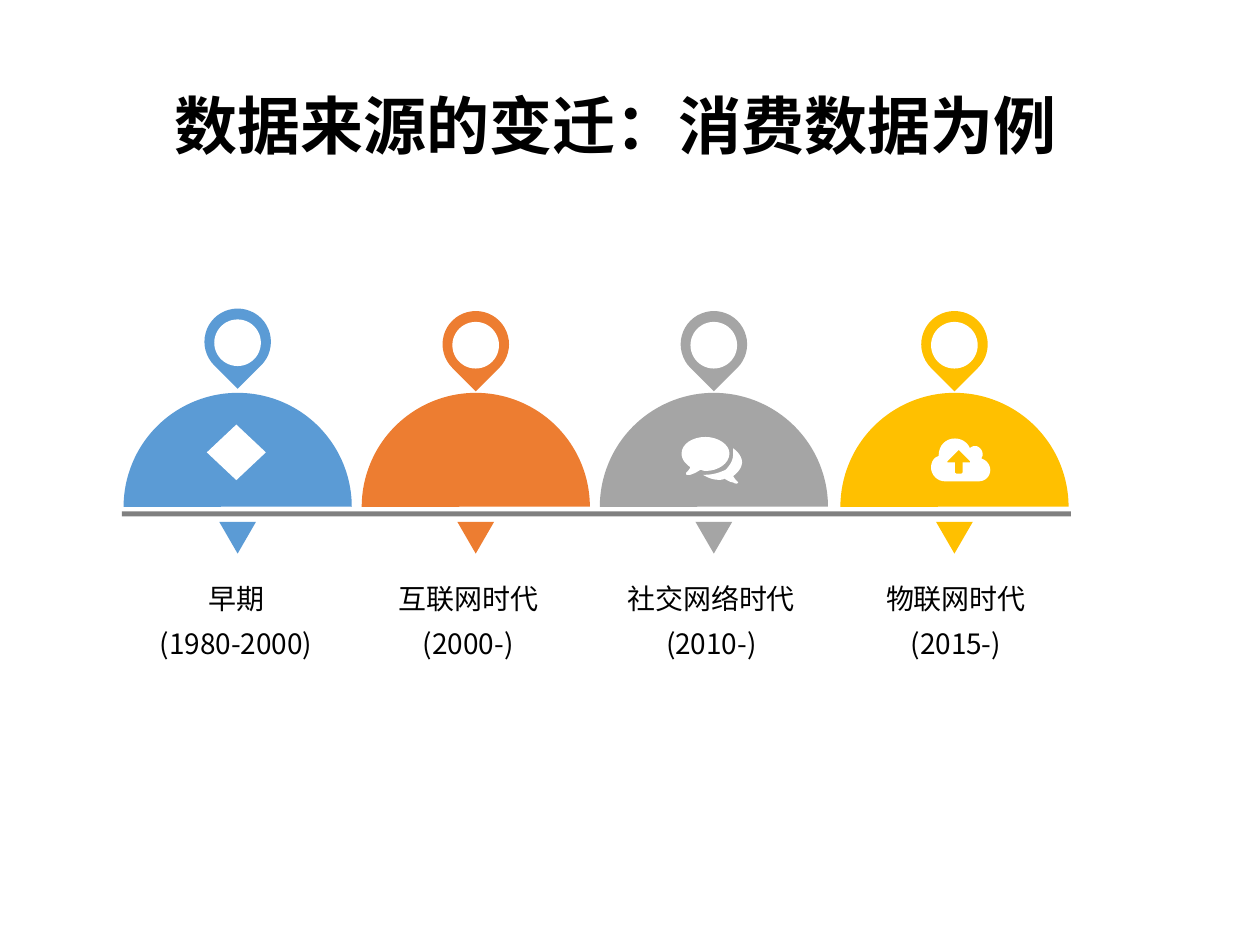
from pptx import Presentation
from pptx.dml.color import RGBColor
from pptx.enum.shapes import MSO_SHAPE
from pptx.enum.text import MSO_ANCHOR, PP_ALIGN
from pptx.oxml.ns import qn
from pptx.util import Cm, Pt

CHORD = MSO_SHAPE.CHORD
DIAMOND = MSO_SHAPE.DIAMOND
OVAL = MSO_SHAPE.OVAL
RECTANGLE = MSO_SHAPE.RECTANGLE
TEAR = MSO_SHAPE.TEAR
TRIANGLE = MSO_SHAPE.ISOSCELES_TRIANGLE
CENTER = PP_ALIGN.CENTER
TOP = MSO_ANCHOR.TOP
MIDDLE = MSO_ANCHOR.MIDDLE

WHITE = "FFFFFF"
ICON_UNIT = 0.0254  # cm per icon grid unit
CURVE_STEPS = 8
DOME_ADJUSTMENTS = (40.58, 148.46)  # chord ends, half a turn apart

# Dome centre, pin top and label centre are in cm
STAGES = [
    (4.79, 6.22, 4.76, "5B9BD5", "早期", "(1980-2000)"),
    (9.59, 6.27, 9.44, "ED7D31", "互联网时代", "(2000-)"),
    (14.39, 6.27, 14.34, "A5A5A5", "社交网络时代", "(2010-)"),
    (19.24, 6.27, 19.27, "FFC000", "物联网时代", "(2015-)"),
]

# Each outline is a list of points (x, y) and cubic curves (two controls, end)
CLOUD_UPLOAD = [
    [(38, 34), (11, 34), (5, 34, 0, 29, 0, 23), (0, 19, 2, 15, 6, 14),
     (6, 5, 12, 0, 19, 0), (24, 0, 29, 3, 31, 8), (31, 7, 33, 6, 35, 6),
     (38, 6, 41, 9, 41, 13), (41, 14, 40, 15, 40, 16),
     (44, 17, 47, 21, 47, 25), (47, 30, 43, 34, 38, 34)],
    [(31, 18), (22, 9), (13, 18), (13, 19), (19, 19), (19, 27), (20, 28),
     (24, 28), (25, 27), (25, 19), (31, 19)],
]
SPEECH_BUBBLES = [
    [(19, 27), (17, 27, 16, 26, 15, 26), (12, 28, 10, 29, 7, 30), (4, 30),
     (3, 29, 4, 28, 4, 28), (5, 27, 6, 26, 7, 24), (3, 21, 0, 18, 0, 13),
     (0, 6, 8, 0, 19, 0), (29, 0, 38, 6, 38, 13), (38, 21, 29, 27, 19, 27)],
    [(41, 31), (42, 33, 43, 34, 44, 35), (45, 36), (44, 37),
     (43, 37, 42, 37, 41, 36), (39, 36, 37, 35, 34, 33),
     (33, 34, 31, 34, 29, 34), (25, 34, 20, 32, 17, 30), (19, 30),
     (25, 30, 31, 28, 35, 26), (39, 22, 41, 18, 41, 13),
     (41, 12, 41, 10, 41, 9), (45, 12, 48, 16, 48, 20),
     (48, 24, 45, 28, 41, 31)],
]


def color(hex_value):
    return RGBColor.from_string(hex_value)


def flatten(outline):
    """Turn an outline with cubic curves into a list of points."""
    points = [outline[0]]
    for segment in outline[1:]:
        if len(segment) == 2:
            points.append(segment)
            continue
        start = points[-1]
        for step in range(1, CURVE_STEPS + 1):
            t = step / CURVE_STEPS
            u = 1 - t
            points.append(tuple(
                u**3 * start[axis] + 3 * u * u * t * segment[axis]
                + 3 * u * t * t * segment[axis + 2] + t**3 * segment[axis + 4]
                for axis in (0, 1)))
    return points


class TimelineSlide:
    """Holds the text style and the slide being built."""

    text_color = "000000"
    asian_font = "Noto Sans CJK SC"

    def __init__(self, slide):
        self.slide = slide

    def paint(self, shape, fill):
        shape.shadow.inherit = False
        shape.fill.solid()
        shape.fill.fore_color.rgb = color(fill)
        shape.line.fill.background()

    def shape(self, kind, left, top, width, height, fill, rotation=0):
        shape = self.slide.shapes.add_shape(
            kind, Cm(left), Cm(top), Cm(width), Cm(height))
        shape.rotation = rotation
        self.paint(shape, fill)
        return shape

    def icon(self, left, top, outlines):
        contours = [
            [(Cm(left + x * ICON_UNIT), Cm(top + y * ICON_UNIT))
             for x, y in flatten(outline)]
            for outline in outlines]
        builder = self.slide.shapes.build_freeform(*contours[0][0])
        builder.add_line_segments(contours[0][1:])
        for contour in contours[1:]:
            builder.move_to(*contour[0])
            builder.add_line_segments(contour[1:])
        self.paint(builder.convert_to_shape(), WHITE)

    def text(self, left, top, width, height, lines, size, font,
             bold=False, anchor=TOP, line_spacing=1.0, gap=0):
        box = self.slide.shapes.add_textbox(
            Cm(left), Cm(top), Cm(width), Cm(height))
        frame = box.text_frame
        frame.word_wrap = True
        frame.vertical_anchor = anchor
        frame.margin_left = frame.margin_right = 0
        frame.margin_top = frame.margin_bottom = 0
        frame.text = "\n".join(lines)
        for index, paragraph in enumerate(frame.paragraphs):
            paragraph.alignment = CENTER
            paragraph.line_spacing = line_spacing
            if index:
                paragraph.space_before = Pt(gap)
            for run in paragraph.runs:
                run.font.size = Pt(size)
                run.font.bold = bold
                run.font.name = font
                run.font.color.rgb = color(self.text_color)
                properties = run.font._element
                asian = properties.makeelement(
                    qn("a:ea"), {"typeface": self.asian_font})
                properties.find(qn("a:latin")).addnext(asian)

    def pin(self, center, top, fill):
        self.shape(TEAR, center - 0.67, top, 1.34, 1.34, fill, 135)
        self.shape(OVAL, center - 0.47, top + 0.22, 0.94, 0.94, WHITE)

    def stage(self, center, pin_top, label_center, fill, name, years):
        dome = self.shape(CHORD, center - 2.3, 7.92, 4.6, 4.6, fill, 112.4)
        for index, adjustment in enumerate(DOME_ADJUSTMENTS):
            dome.adjustments[index] = adjustment
        self.shape(TRIANGLE, center - 0.37, 10.52, 0.74, 0.64, fill, 180)
        self.pin(center, pin_top, fill)
        self.text(label_center - 2.07, 11.58, 4.14, 1.78, [name, years], 16,
                  self.asian_font, line_spacing=1.2, gap=3.2)


def main():
    presentation = Presentation()
    presentation.slide_width = Cm(25.4)
    presentation.slide_height = Cm(19.05)
    timeline = TimelineSlide(
        presentation.slides.add_slide(presentation.slide_layouts[6]))

    timeline.text(1.57, 1.73, 21.69, 1.55, ["数据来源的变迁：消费数据为例"], 36,
                  "Arial", bold=True, anchor=MIDDLE)
    timeline.shape(RECTANGLE, 2.46, 10.31, 19.13, 0.1, "808080")
    for stage in STAGES:
        timeline.stage(*stage)
    timeline.shape(DIAMOND, 4.17, 8.56, 1.19, 1.12, WHITE)
    timeline.icon(13.74, 8.81, SPEECH_BUBBLES)
    timeline.icon(18.77, 8.84, CLOUD_UPLOAD)

    presentation.save("out.pptx")


if __name__ == "__main__":
    main()
